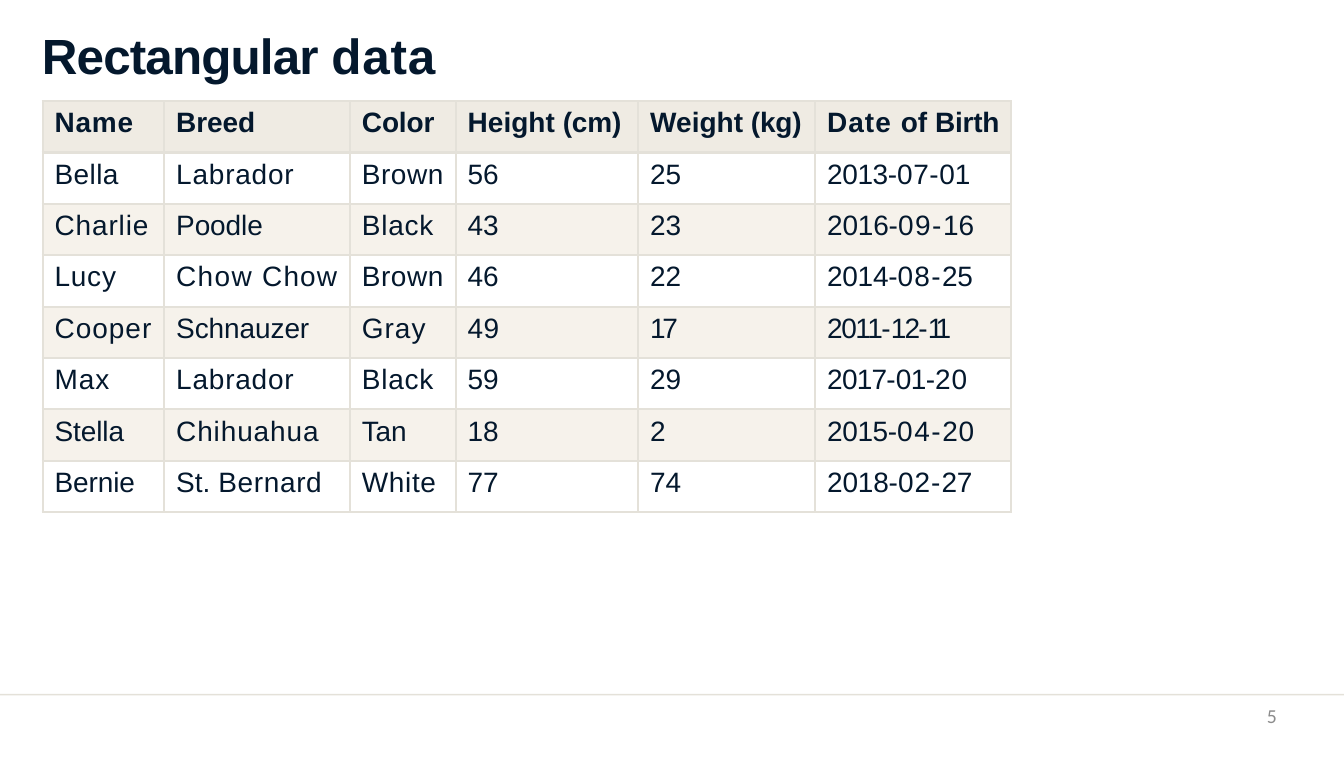
from lxml import etree
from pptx import Presentation
from pptx.dml.color import RGBColor
from pptx.enum.shapes import MSO_SHAPE
from pptx.enum.text import MSO_ANCHOR, MSO_AUTO_SIZE, PP_ALIGN
from pptx.oxml.ns import qn
from pptx.util import Inches, Pt

RECTANGLE = MSO_SHAPE.RECTANGLE
TOP = MSO_ANCHOR.TOP
LEFT, RIGHT = PP_ALIGN.LEFT, PP_ALIGN.RIGHT
NO_AUTOFIT = MSO_AUTO_SIZE.NONE

TITLE = "Rectangular data"
PAGE_NUMBER = "5"
DOGS = [
    ("Name", "Breed", "Color", "Height (cm)", "Weight (kg)", "Date of Birth"),
    ("Bella", "Labrador", "Brown", "56", "25", "2013-07-01"),
    ("Charlie", "Poodle", "Black", "43", "23", "2016-09-16"),
    ("Lucy", "Chow Chow", "Brown", "46", "22", "2014-08-25"),
    ("Cooper", "Schnauzer", "Gray", "49", "17", "2011-12-11"),
    ("Max", "Labrador", "Black", "59", "29", "2017-01-20"),
    ("Stella", "Chihuahua", "Tan", "18", "2", "2015-04-20"),
    ("Bernie", "St. Bernard", "White", "77", "74", "2018-02-27"),
]

# Letter spacing in points for each word or date part
DEFAULT_SPACING = -0.2
SPACING = {
    "Rectangular ": -0.8, "data": 0.8,
    "Name": 0.7, "Breed": -0.1, "Color": -0.1, "Height ": 0, "Weight ": 0,
    "Date ": 0.9, "of ": 0,
    "Bella": 0.4, "Charlie": 0.8, "Lucy": 0.7, "Cooper": 0.9, "Max": 0.9,
    "Stella": -0.1, "Bernie": -0.1,
    "Labrador": 0.7, "Poodle": -0.1, "Chow ": 1.2, "Chow": 1,
    "Schnauzer": -0.1, "Chihuahua": 0.8, "St. ": 0, "Bernard": 0.6,
    "Brown": 0.5, "Black": 0.7, "Gray": 0.9, "White": 0.6,
    "49": 0.3, "17": -3.2, "2": -0.5,
    "2013-": -0.4, "2014-": -0.3, "2011-": -1.4, "2017-": -0.7, "2015-": -0.4,
    "07-": 0.5, "09-": 1.4, "08-": 1.2, "12-": -1.6, "01-": -0.5,
    "04-": 1.4, "02-": 0.9, "11": -5.1, "20": 0.8,
}

COLORS = {"ink": "04182D", "rule": "E4E1D9", "header": "EFEBE3",
          "band": "F6F2EB", "page": "8C8C8C"}
COLUMN_WIDTHS = [1.54, 2.35, 1.34, 2.31, 2.24, 2.48]
ROW_HEIGHT = 0.65
BORDER_WIDTH = Pt(2.25)

TITLE_FONT = {"name": "Arial", "size": Pt(45), "bold": True}
HEADER_FONT = {"name": "Arial", "size": Pt(25.5), "bold": True}
BODY_FONT = {**HEADER_FONT, "bold": False}
PAGE_FONT = {"name": "Calibri", "size": Pt(18)}
FRAME_FORMAT = {"margin_left": 0, "margin_right": 0, "margin_bottom": 0,
                "word_wrap": True, "auto_size": NO_AUTOFIT,
                "vertical_anchor": TOP}
CELL_FORMAT = {"margin_left": 0, "margin_right": 0, "margin_bottom": 0,
               "margin_top": Inches(0.08), "vertical_anchor": TOP}


def apply(target, values):
    for attribute, value in values.items():
        setattr(target, attribute, value)


def add_run(paragraph, text, font, color):
    run = paragraph.add_run()
    run.text = text
    apply(run.font, font)
    run.font.color.rgb = RGBColor.from_string(COLORS[color])
    return run


def write_spaced(paragraph, text, font, indent, space_before):
    """Write text as one run per word or date part, each with its spacing."""
    apply(paragraph, {"alignment": LEFT, "space_before": Pt(space_before)})
    properties = paragraph._p.get_or_add_pPr()
    properties.set("marL", str(Inches(indent)))
    properties.set("indent", "0")
    for part in text.replace(" ", " |").replace("-", "-|").split("|"):
        run = add_run(paragraph, part, font, "ink")
        spacing = SPACING.get(part, DEFAULT_SPACING)
        run.font._element.set("spc", str(round(spacing * 100)))


def add_borders(cell):
    properties = cell._tc.get_or_add_tcPr()
    for side in ("a:lnL", "a:lnR", "a:lnT", "a:lnB"):
        line = etree.SubElement(properties, qn(side), w=str(BORDER_WIDTH))
        fill = etree.SubElement(line, qn("a:solidFill"))
        etree.SubElement(fill, qn("a:srgbClr"), val=COLORS["rule"])


def add_footer(slide):
    rule = slide.shapes.add_shape(RECTANGLE, 0, Inches(8.78),
                                  Inches(17.01), Inches(0.02))
    rule.shadow.inherit = False
    rule.fill.solid()
    rule.fill.fore_color.rgb = RGBColor.from_string(COLORS["rule"])
    rule.line.fill.background()

    page = slide.shapes.add_textbox(Inches(12.25), Inches(8.91),
                                    Inches(3.91), Inches(0.48)).text_frame
    apply(page, {**FRAME_FORMAT, "margin_top": 0})
    page.paragraphs[0].alignment = RIGHT
    add_run(page.paragraphs[0], PAGE_NUMBER, PAGE_FONT, "page")


def add_title(slide):
    title = slide.shapes.title
    apply(title, {"left": Inches(0.52), "top": Inches(0.3),
                  "width": Inches(14.46), "height": Inches(0.78)})
    apply(title.text_frame, {**FRAME_FORMAT, "margin_top": Inches(0.02)})
    write_spaced(title.text_frame.paragraphs[0], TITLE, TITLE_FONT, 0.01, 1.1)


def add_dog_table(slide):
    table = slide.shapes.add_table(
        len(DOGS), len(COLUMN_WIDTHS), Inches(0.54), Inches(1.28),
        Inches(sum(COLUMN_WIDTHS)), Inches(ROW_HEIGHT * len(DOGS))).table
    for column, width in zip(table.columns, COLUMN_WIDTHS):
        column.width = Inches(width)
    for row_index, dog in enumerate(DOGS):
        is_header = row_index == 0
        font = HEADER_FONT if is_header else BODY_FONT
        for column_index, value in enumerate(dog):
            cell = table.cell(row_index, column_index)
            apply(cell, CELL_FORMAT)
            write_spaced(cell.text_frame.paragraphs[0], value, font, 0.15, 5.9)
            add_borders(cell)
            if row_index % 2:
                cell.fill.background()
            else:
                cell.fill.solid()
                cell.fill.fore_color.rgb = RGBColor.from_string(
                    COLORS["header" if is_header else "band"])


def main():
    presentation = Presentation()
    presentation.slide_width = Inches(17.01)
    presentation.slide_height = Inches(9.58)
    title_only = presentation.slide_layouts.get_by_name("Title Only")
    slide = presentation.slides.add_slide(title_only)
    add_footer(slide)
    add_title(slide)
    add_dog_table(slide)
    presentation.save("out.pptx")


if __name__ == "__main__":
    main()
